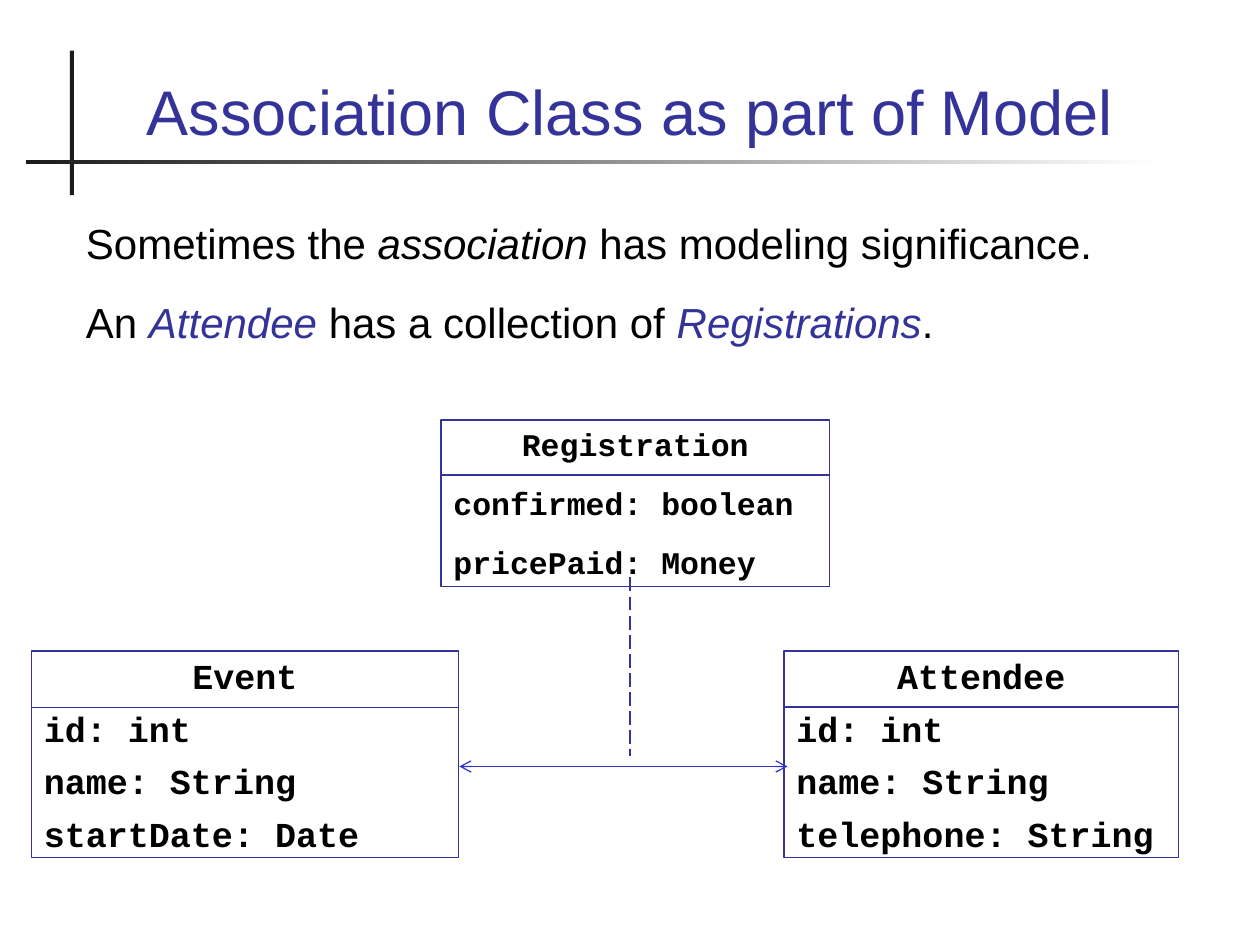
from lxml import etree
from pptx import Presentation
from pptx.dml.color import RGBColor
from pptx.enum.dml import MSO_LINE
from pptx.enum.shapes import MSO_CONNECTOR, MSO_SHAPE
from pptx.enum.text import MSO_ANCHOR, MSO_AUTO_SIZE, PP_ALIGN
from pptx.oxml.ns import qn
from pptx.util import Pt

RECTANGLE = MSO_SHAPE.RECTANGLE
STRAIGHT = MSO_CONNECTOR.STRAIGHT
LONG_DASH = MSO_LINE.LONG_DASH
TOP, MIDDLE, BOTTOM = MSO_ANCHOR.TOP, MSO_ANCHOR.MIDDLE, MSO_ANCHOR.BOTTOM
LEFT, CENTER = PP_ALIGN.LEFT, PP_ALIGN.CENTER
NO_AUTOFIT = MSO_AUTO_SIZE.NONE

COLORS = {
    "text": "000000",
    "accent": "333399",
    "arrow": "3333CC",
    "rule": "1C1C1C",
    "paper": "FFFFFF",
}


def rgb(name):
    return RGBColor.from_string(COLORS[name])


class ClassDiagramSlide:
    sans = "Arial"
    mono = "Courier New"

    def __init__(self, deck):
        self.slide = deck.slides.add_slide(deck.slide_layouts[5])
        self.shapes = self.slide.shapes

    def set_font(self, paragraph, face, size, color, bold=False):
        font = paragraph.font
        font.name = face
        font.size = Pt(size)
        font.bold = bold
        font.color.rgb = rgb(color)

    def prepare_frame(self, frame, anchor):
        frame.word_wrap = True
        frame.auto_size = NO_AUTOFIT
        frame.vertical_anchor = anchor

    def title(self, text, left, top, width, height):
        title = self.shapes.title
        title.left, title.top = Pt(left), Pt(top)
        title.width, title.height = Pt(width), Pt(height)
        self.prepare_frame(title.text_frame, BOTTOM)
        title.text_frame.text = text
        heading = title.text_frame.paragraphs[0]
        heading.alignment = CENTER
        self.set_font(heading, self.sans, 36, "accent")

    def bar(self, left, top, width, height, fade=False):
        bar = self.shapes.add_shape(RECTANGLE, Pt(left), Pt(top), Pt(width), Pt(height))
        bar.shadow.inherit = False
        bar.line.fill.background()
        if fade:
            bar.fill.gradient()
            bar.fill.gradient_angle = 0
            for stop, color in zip(bar.fill.gradient_stops, ("rule", "paper")):
                stop.color.rgb = rgb(color)
        else:
            bar.fill.solid()
            bar.fill.fore_color.rgb = rgb("rule")

    def statements(self, lines, left, top, width, height, gap):
        box = self.shapes.add_textbox(Pt(left), Pt(top), Pt(width), Pt(height))
        frame = box.text_frame
        self.prepare_frame(frame, TOP)
        for index, pieces in enumerate(lines):
            statement = frame.add_paragraph() if index else frame.paragraphs[0]
            statement.space_before = Pt(gap if index else 0)
            self.set_font(statement, self.sans, 24, "text")
            for text, italic, color in pieces:
                run = statement.add_run()
                run.text = text
                run.font.italic = italic
                run.font.color.rgb = rgb(color)

    def class_box(self, name, fields, left, top, width, height, header, size, gap, weight):
        box = self.shapes.add_shape(RECTANGLE, Pt(left), Pt(top), Pt(width), Pt(height))
        box.shadow.inherit = False
        box.fill.background()
        box.line.color.rgb = rgb("accent")
        box.line.width = Pt(weight)
        frame = box.text_frame
        self.prepare_frame(frame, MIDDLE)
        for index, text in enumerate([name, *fields]):
            entry = frame.add_paragraph() if index else frame.paragraphs[0]
            entry.text = text
            entry.alignment = LEFT if index else CENTER
            entry.space_before = Pt(gap if index else 0)
            self.set_font(entry, self.mono, size, "text", bold=True)
        self.line(left, top + header, left + width, top + header)

    def line(self, x1, y1, x2, y2, color="accent", weight=0.75, dash=None, arrows=False):
        line = self.shapes.add_connector(STRAIGHT, Pt(x1), Pt(y1), Pt(x2), Pt(y2))
        line.line.color.rgb = rgb(color)
        line.line.width = Pt(weight)
        if dash:
            line.line.dash_style = dash
        if arrows:
            outline = line.line._get_or_add_ln()
            for end in ("a:headEnd", "a:tailEnd"):
                etree.SubElement(outline, qn(end), type="arrow")
        etree.SubElement(line._element.spPr, qn("a:effectLst"))


def main():
    deck = Presentation()
    deck.slide_width, deck.slide_height = Pt(720), Pt(540)
    page = ClassDiagramSlide(deck)

    page.bar(40, 29, 2.3, 82.5)
    page.bar(15, 91.3, 647, 2.3, fade=True)
    page.title("Association Class as part of Model", 48, 20, 624, 68.5)

    page.class_box("Event", ["id: int", "name: String", "startDate: Date"],
                   18, 372, 244, 118, header=32.3, size=20, gap=6, weight=1)
    page.class_box("Attendee", ["id: int", "name: String", "telephone: String"],
                   448, 372, 225.5, 118, header=32, size=20, gap=6, weight=1)
    page.line(262.5, 438, 450, 438, color="arrow", arrows=True)
    page.class_box("Registration", ["confirmed: boolean", "pricePaid: Money"],
                   252, 240, 222, 95, header=31.5, size=18, gap=12, weight=0.75)
    page.line(360, 330, 360, 432, weight=1, dash=LONG_DASH)

    page.statements([
        [("Sometimes the ", False, "text"), ("association ", True, "text"),
         ("has modeling significance.", False, "text")],
        [("An ", False, "text"), ("Attendee", True, "accent"),
         (" has a collection of ", False, "text"),
         ("Registrations", True, "accent"), (".", False, "text")],
    ], 42, 121, 636, 80, gap=16)

    deck.save("out.pptx")


if __name__ == "__main__":
    main()
